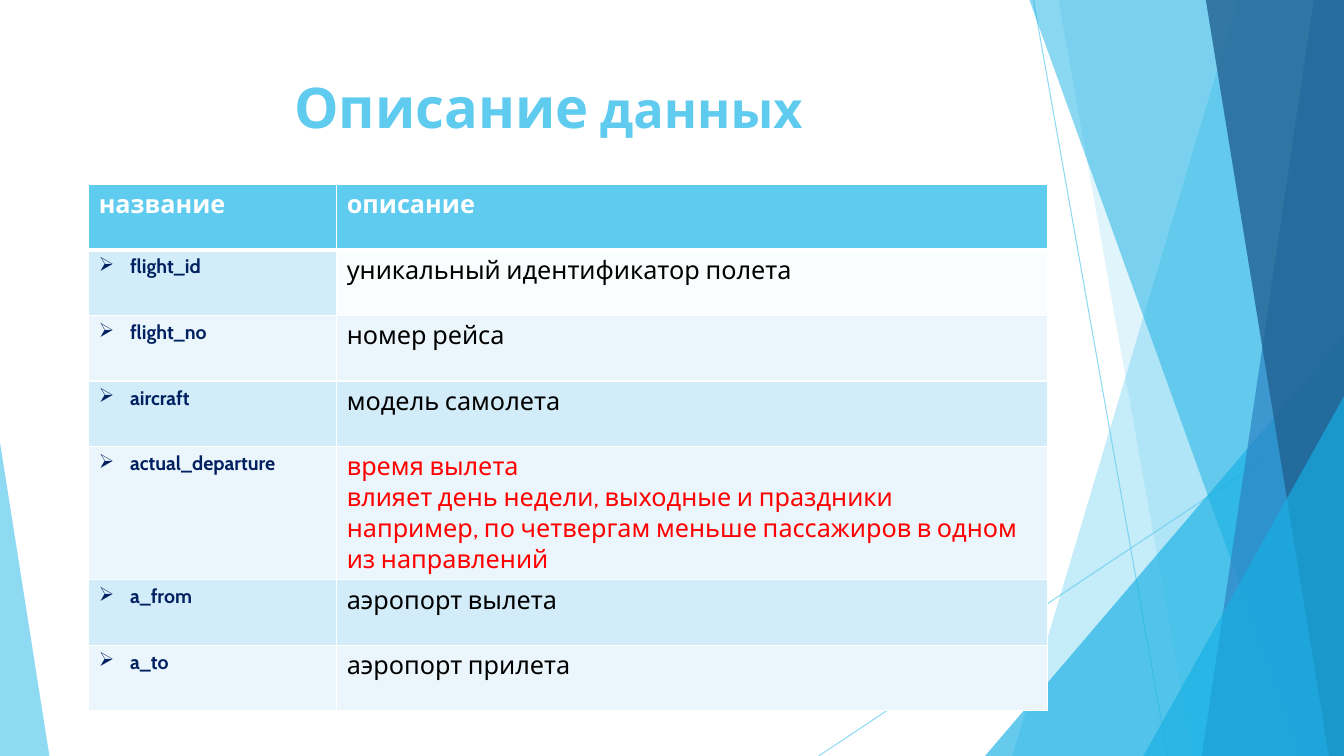
from lxml.etree import SubElement as Sub
from pptx import Presentation
from pptx.dml.color import RGBColor as Rgb
from pptx.enum.shapes import MSO_CONNECTOR as Conn, MSO_SHAPE as Form
from pptx.enum.text import MSO_ANCHOR as Anchor, PP_ALIGN as Align
from pptx.oxml.ns import qn
from pptx.util import Pt

PX = 9144
WIDE, HIGH = 1333, 750
FONT = "Cabin"
HUES = {
    "sky": "5FCBEF", "cyan": "17B0E4", "blue": "2E83C3", "deep": "226292",
    "white": "FFFFFF", "black": "000000", "navy": "002060", "red": "FF0000",
    "odd": "D2ECF9", "even": "EAF6FC",
}
HEAD = ("название", "описание")
ROWS = [
    ("flight_id", ["уникальный идентификатор полета"]),
    ("flight_no", ["номер рейса"]),
    ("aircraft", ["модель самолета"]),
    ("actual_departure", [
        "время вылета",
        "влияет день недели, выходные и праздники",
        "например, по четвергам меньше пассажиров в одном из направлений",
    ]),
    ("a_from", ["аэропорт вылета"]),
    ("a_to", ["аэропорт прилета"]),
]


def px(*nums):
    return [num * PX for num in nums]


def rgb(hue):
    return Rgb.from_string(HUES[hue])


def fade(root, part):
    for tone in root.iter(qn("a:srgbClr")):
        Sub(tone, qn("a:alpha"), val=str(part * 1000))


def paint(shape, hue, part):
    shape.shadow.inherit = False
    shape.fill.solid()
    shape.fill.fore_color.rgb = rgb(hue)
    shape.line.fill.background()
    fade(shape.element.spPr, part)


def band(slide, top, base, hue, part):
    pen = slide.shapes.build_freeform(top, 0, scale=PX)
    pen.add_line_segments([(WIDE, 0), (WIDE, HIGH), (base, HIGH)])
    paint(pen.convert_to_shape(), hue, part)


def wedge(slide, box, peak, hue, part):
    shape = slide.shapes.add_shape(Form.ISOSCELES_TRIANGLE, *px(*box))
    shape.adjustments[0] = peak
    paint(shape, hue, part)


def rule(slide, *ends):
    line = slide.shapes.add_connector(Conn.STRAIGHT, *px(*ends))
    line.line.color.rgb = rgb("sky")
    line.line.width = Pt(0.75)
    props = line.element.spPr
    fade(props, 70)
    Sub(props, qn("a:effectLst"))


def write(para, text, size, hue, bold):
    run = para.add_run()
    run.text = text
    font = run.font
    font.name, font.size, font.bold = FONT, Pt(size), bold
    font.color.rgb = rgb(hue)


def mark(para):
    props = para._p.get_or_add_pPr()
    props.set("marL", str(31 * PX))
    props.set("indent", str(-31 * PX))
    Sub(props, qn("a:buChar"), char="➢")


def edge(cell, row):
    props = cell._tc.get_or_add_tcPr()
    wide = {"lnT": 3 if row == 1 else 1, "lnB": 3 if row == 0 else 1}
    for side in ("lnL", "lnR", "lnT", "lnB"):
        line = Sub(props, qn("a:" + side), w=str(Pt(wide.get(side, 1))))
        fill = Sub(line, qn("a:solidFill"))
        Sub(fill, qn("a:srgbClr"), val=HUES["white"])


def fill_cell(cell, row, lines, size, hue, bold):
    edge(cell, row)
    cell.fill.solid()
    shade = "sky" if row == 0 else "odd" if row % 2 else "even"
    cell.fill.fore_color.rgb = rgb(shade)
    frame = cell.text_frame
    for num, text in enumerate(lines):
        para = frame.add_paragraph() if num else frame.paragraphs[0]
        write(para, text, size, hue, bold)


def add_grid(slide):
    rows = len(ROWS) + 1
    grid = slide.shapes.add_table(rows, 2, *px(88, 183, 951, 65 * rows)).table
    for col, wide in zip(grid.columns, px(246, 705)):
        col.width = wide
    for row in grid.rows:
        row.height = 65 * PX
    for col, text in enumerate(HEAD):
        fill_cell(grid.cell(0, col), 0, [text], 18, "white", True)
    for row, (name, lines) in enumerate(ROWS, 1):
        left, right = grid.cell(row, 0), grid.cell(row, 1)
        fill_cell(left, row, [name], 14, "navy", True)
        mark(left.text_frame.paragraphs[0])
        hue = "red" if name == "actual_departure" else "black"
        fill_cell(right, row, lines, 18, hue, False)
    fade(grid.cell(1, 1)._tc.tcPr.find(qn("a:solidFill")), 9)


def add_back(slide):
    rule(slide, 1025, 0, 1158, HIGH)
    rule(slide, WIDE, 403, 812, HIGH)
    band(slide, 1228, 1004, "sky", 36)
    band(slide, 1050, 1183, "sky", 20)
    wedge(slide, (977, 333, 356, 417), 1, "cyan", 66)
    band(slide, 1021, 1291, "cyan", 50)
    band(slide, 1303, 1192, "blue", 70)
    band(slide, 1196, 1318, "deep", 80)
    wedge(slide, (1134, 393, 199, 357), 1, "cyan", 66)
    wedge(slide, (0, 439, 49, 311), 0, "sky", 70)


def add_title(slide):
    title = slide.shapes.title
    title.left, title.top, title.width, title.height = px(74, 67, 940, 98)
    frame = title.text_frame
    frame.vertical_anchor = Anchor.TOP
    para = frame.paragraphs[0]
    para.alignment = Align.CENTER
    write(para, "Описание", 40, "sky", True)
    write(para, " данных", 36, "sky", True)


def main():
    """Build the slide that describes the flight data."""
    deck = Presentation()
    deck.slide_width, deck.slide_height = px(WIDE, HIGH)
    slide = deck.slides.add_slide(deck.slide_layouts[5])
    add_back(slide)
    add_title(slide)
    add_grid(slide)
    deck.save("out.pptx")


if __name__ == "__main__":
    main()
